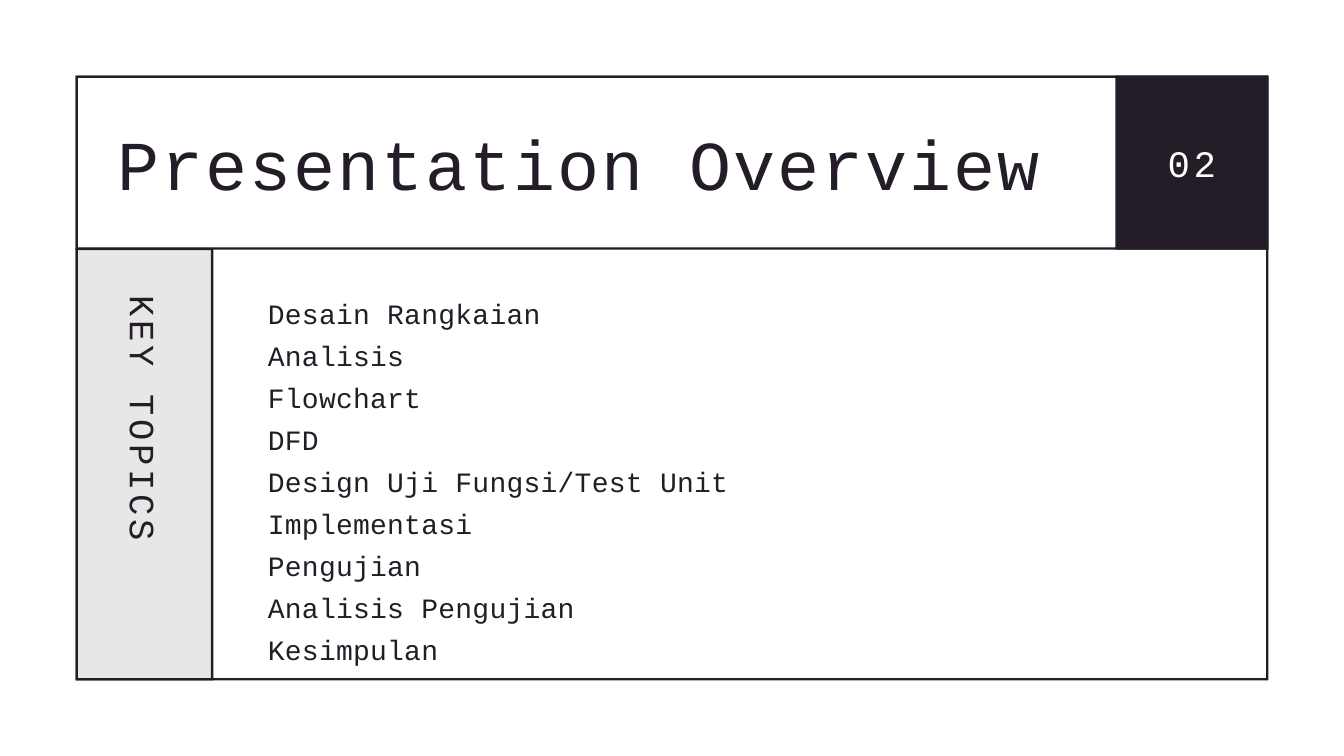
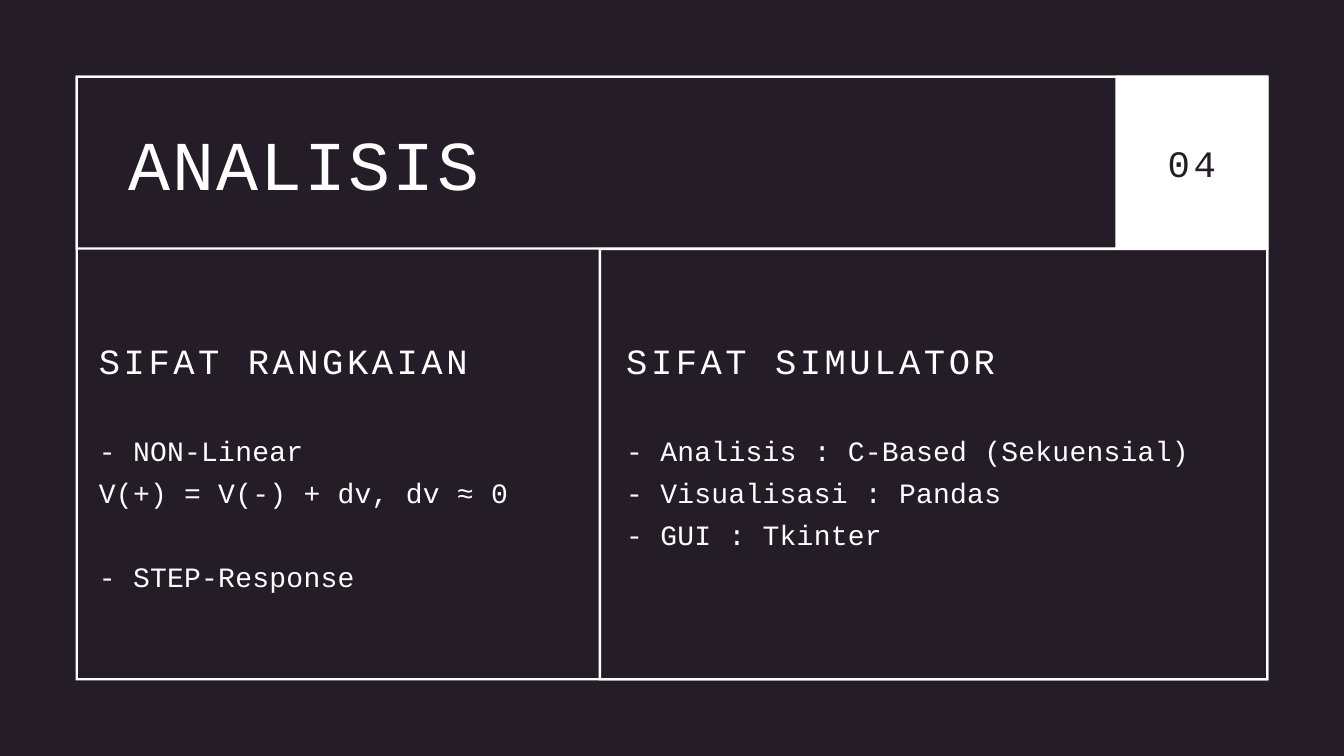
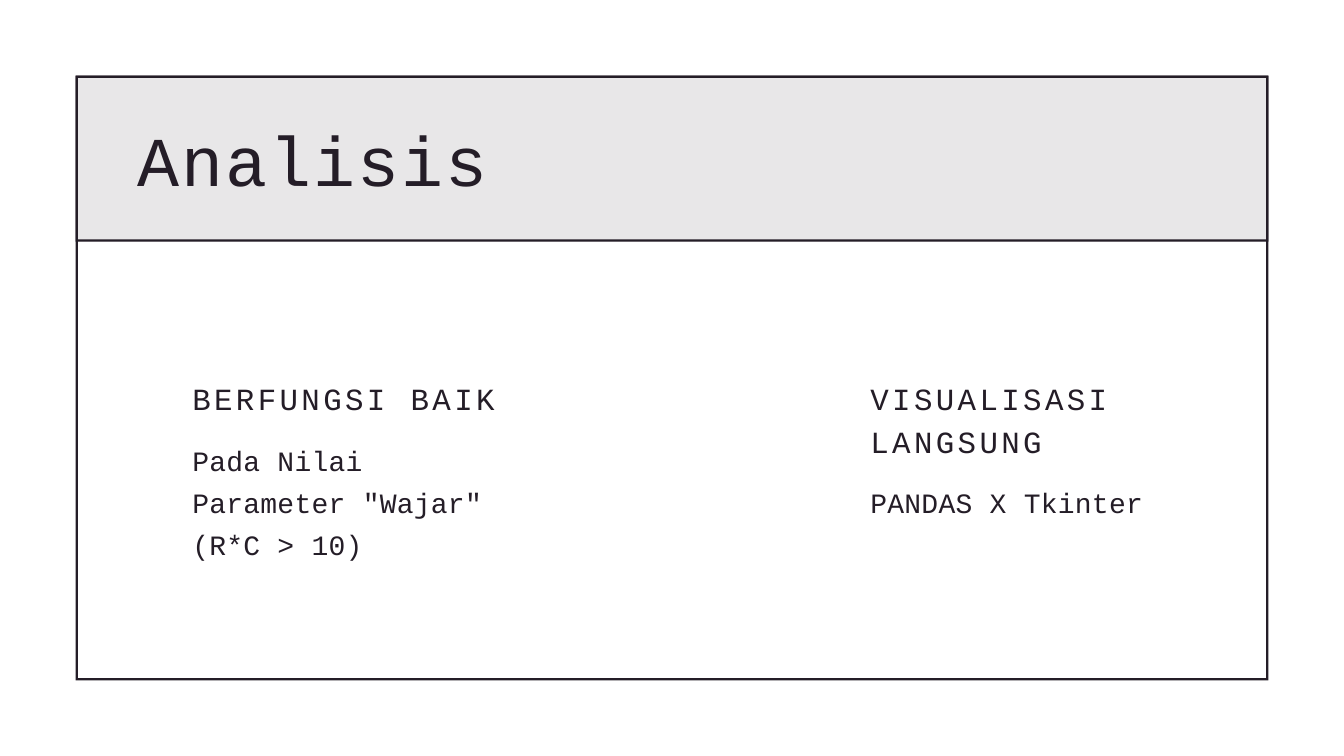
from collections import namedtuple

from lxml import etree
from pptx import Presentation
from pptx.dml.color import RGBColor
from pptx.enum.shapes import MSO_SHAPE as Preset
from pptx.enum.text import MSO_ANCHOR as Anchor, MSO_AUTO_SIZE as AutoSize, PP_ALIGN as Align
from pptx.oxml.ns import qn
from pptx.util import Pt

Box = namedtuple("Box", "left top width height")
Style = namedtuple("Style", "size line tracking")

INK, PAPER = "241D27", "FFFFFF"
FONT = "Courier New"
STROKE = 2.5
TINT = 10  # percent of opacity

TITLE = Style(75, 90, 2.25)
NUMBER = Style(40, 48, 4)
HEADING = Style(38, 45.6, 3.8)
SUBHEADING = Style(33, 46.2, 3.63)
BODY = Style(30, 45, 0.3)

CARD = Box(81, 81, 1278, 648)
HEADER = CARD._replace(height=186.5)
BODY_TOP = HEADER.top + HEADER.height - 2
PANEL = Box(CARD.left, BODY_TOP, CARD.width, CARD.top + CARD.height - BODY_TOP)
BADGE_WIDTH = 164


def color(hex_code):
    return RGBColor.from_string(hex_code)


def points(values):
    return [Pt(value) for value in values]


def write(shape, paragraphs, style, hex_code, align=Align.LEFT):
    """Fill the shape with paragraphs; a (text, gap) pair has space before it."""
    frame = shape.text_frame
    frame_format = dict(margin_left=0, margin_top=0, margin_right=0, margin_bottom=0,
                        word_wrap=True, auto_size=AutoSize.NONE, vertical_anchor=Anchor.TOP)
    for name, value in frame_format.items():
        setattr(frame, name, value)
    for index, entry in enumerate(paragraphs):
        words, gap = entry if isinstance(entry, tuple) else (entry, 0)
        paragraph = frame.add_paragraph() if index else frame.paragraphs[0]
        paragraph_format = dict(alignment=align, line_spacing=Pt(style.line), space_before=Pt(gap))
        for name, value in paragraph_format.items():
            setattr(paragraph, name, value)
        run = paragraph.add_run()
        run.text = words
        for name, value in dict(name=FONT, size=Pt(style.size)).items():
            setattr(run.font, name, value)
        run.font.color.rgb = color(hex_code)
        run.font._element.set("spc", str(round(style.tracking * 100)))


def add_text(slide, box, paragraphs, style, hex_code, align=Align.LEFT):
    label = slide.shapes.add_textbox(*points(box))
    write(label, paragraphs, style, hex_code, align)
    return label


def paint(shape, hex_code, opacity=100):
    shape.shadow.inherit = False
    shape.fill.solid()
    shape.fill.fore_color.rgb = color(hex_code)
    shape.line.fill.background()
    if opacity < 100:
        solid = shape.element.spPr.find(qn("a:solidFill"))
        etree.SubElement(solid[0], qn("a:alpha")).set("val", str(opacity * 1000))


def add_block(slide, box, hex_code, opacity=100):
    paint(slide.shapes.add_shape(Preset.RECTANGLE, *points(box)), hex_code, opacity)


def add_border(slide, box, hex_code):
    """Draw a hollow frame whose stroke lies inside the box."""
    left, top = box.left, box.top
    right, bottom = left + box.width, top + box.height
    outer = [(left, top), (left, bottom), (right, bottom), (right, top)]
    left, top, right, bottom = left + STROKE, top + STROKE, right - STROKE, bottom - STROKE
    inner = [(right, bottom), (left, bottom), (left, top), (right, top)]
    builder = slide.shapes.build_freeform(*points(outer[0]))
    builder.add_line_segments([points(corner) for corner in outer[1:]], close=True)
    builder.move_to(*points(inner[0]))
    builder.add_line_segments([points(corner) for corner in inner[1:]], close=True)
    paint(builder.convert_to_shape(), hex_code)


def add_card(deck, background, ink):
    slide = deck.slides.add_slide(deck.slide_layouts.get_by_name("Title Only"))
    slide.background.fill.solid()
    slide.background.fill.fore_color.rgb = color(background)
    add_border(slide, CARD, ink)
    return slide


def add_header(slide, box, heading, ink, inset, width, tint=0):
    """Frame the header and set the title, centred vertically, over it."""
    if tint:
        add_block(slide, box, ink, tint)
    add_border(slide, box, ink)
    title = slide.shapes.title
    title.element.getparent().append(title.element)
    title_box = Box(box.left + inset, box.top + (box.height - TITLE.line) / 2, width, TITLE.line)
    for name, value in title_box._asdict().items():
        setattr(title, name, Pt(value))
    write(title, [heading], TITLE, ink)


def add_badge(slide, header, number, fill, ink):
    left = header.left + header.width - BADGE_WIDTH
    add_block(slide, Box(left, header.top, BADGE_WIDTH, header.height), fill)
    number_box = Box(left, header.top + (header.height - NUMBER.line) / 2, BADGE_WIDTH, NUMBER.line)
    add_text(slide, number_box, [number], NUMBER, ink, Align.CENTER)


def add_sidebar(slide, box, caption, ink):
    """Tinted column with a caption that reads downwards."""
    add_border(slide, box, ink)
    add_block(slide, Box(box.left, box.top + 2, box.width, box.height - 2), ink, TINT)
    length, thickness = 354, 45
    center_x, center_y = box.left + box.width / 2, box.top + 51 + length / 2
    caption_box = Box(center_x - length / 2, center_y - thickness / 2, length, thickness)
    add_text(slide, caption_box, [caption], HEADING, ink).rotation = 90


def add_section(slide, box, heading, lines, ink, style, body_offset):
    add_text(slide, box._replace(height=body_offset - 20), [heading], style, ink)
    body = box._replace(top=box.top + body_offset, height=box.height - body_offset)
    add_text(slide, body, lines, BODY, ink)


def build_overview(deck):
    slide = add_card(deck, PAPER, INK)
    add_header(slide, HEADER, "Presentation Overview", INK, 44.5, 1024.5)
    add_badge(slide, HEADER, "02", INK, PAPER)
    sidebar = PANEL._replace(width=147.5)
    add_sidebar(slide, sidebar, "KEY TOPICS", INK)
    topics = ["Desain Rangkaian", "Analisis", "Flowchart", "DFD", "Design Uji Fungsi/Test Unit",
              "Implementasi", "Pengujian", "Analisis Pengujian", "Kesimpulan"]
    topics_box = Box(sidebar.left + sidebar.width + 58.5, PANEL.top + 43.5, 802, 45 * len(topics))
    add_text(slide, topics_box, topics, BODY, INK)


def build_properties(deck):
    slide = add_card(deck, INK, PAPER)
    add_header(slide, HEADER, "ANALISIS", PAPER, 57, 1006.5)
    add_badge(slide, HEADER, "04", PAPER, INK)
    divider = 641.5
    add_border(slide, PANEL._replace(left=divider, width=CARD.left + CARD.width - divider), PAPER)
    sections = [
        (106, 511, "SIFAT RANGKAIAN",
         ["- NON-Linear", "V(+) = V(-) + dv, dv ≈ 0", ("- STEP-Response", BODY.line)]),
        (671, 645, "SIFAT SIMULATOR",
         ["- Analisis : C-Based (Sekuensial)", "- Visualisasi : Pandas", "- GUI : Tkinter"]),
    ]
    for left, width, heading, lines in sections:
        box = Box(left, PANEL.top + 98, width, 224)
        add_section(slide, box, heading, lines, PAPER, HEADING, 92)


def build_results(deck):
    slide = add_card(deck, PAPER, INK)
    add_header(slide, HEADER._replace(height=178), "Analisis", INK, 66.5, 785, TINT)
    sections = [
        (206, 1, "BERFUNGSI BAIK", 'Pada Nilai Parameter "Wajar" (R*C > 10)'),
        (932.5, 2, "VISUALISASI LANGSUNG", "PANDAS X Tkinter"),
    ]
    for left, heading_lines, heading, finding in sections:
        box = Box(left, 400.5, 334, 197)
        add_section(slide, box, heading, [finding], INK, SUBHEADING, 20.5 + 45 * heading_lines)


def main():
    deck = Presentation()
    deck.slide_width, deck.slide_height = Pt(1440), Pt(810)
    for build in (build_overview, build_properties, build_results):
        build(deck)
    deck.save("out.pptx")


if __name__ == "__main__":
    main()
